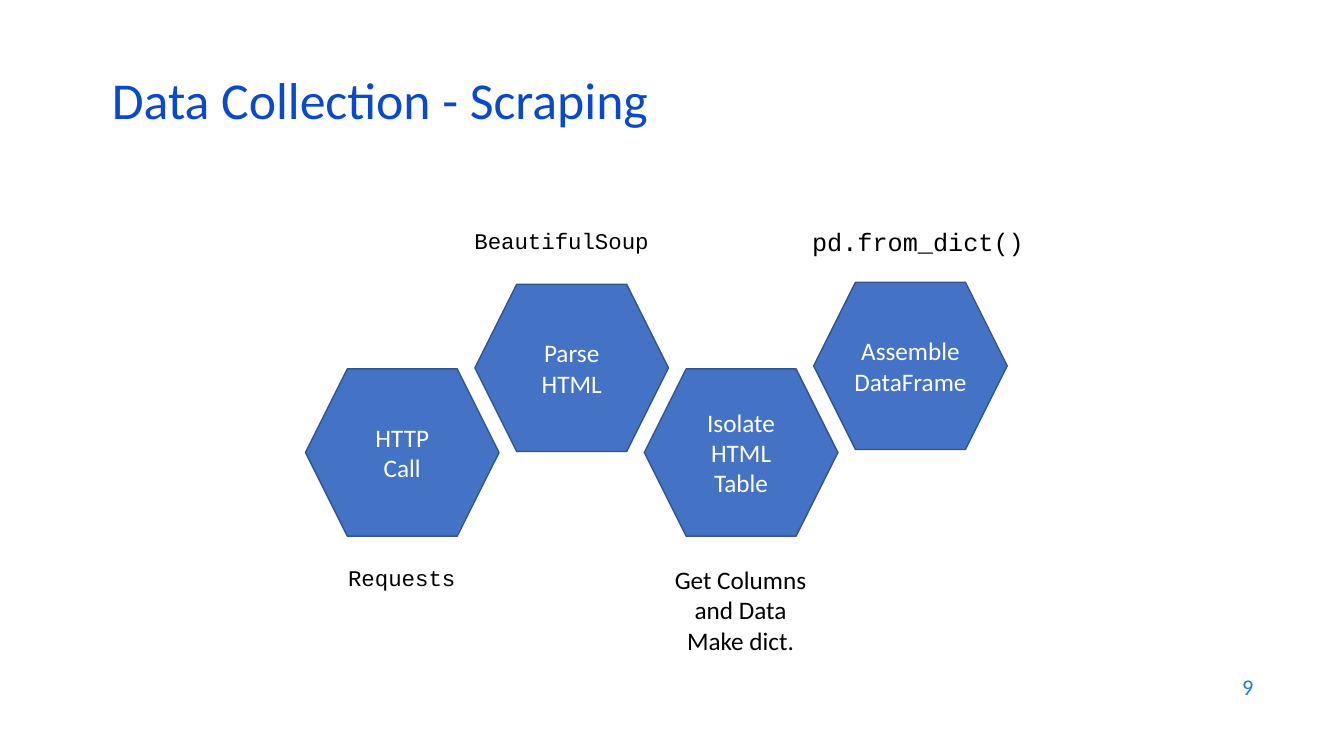
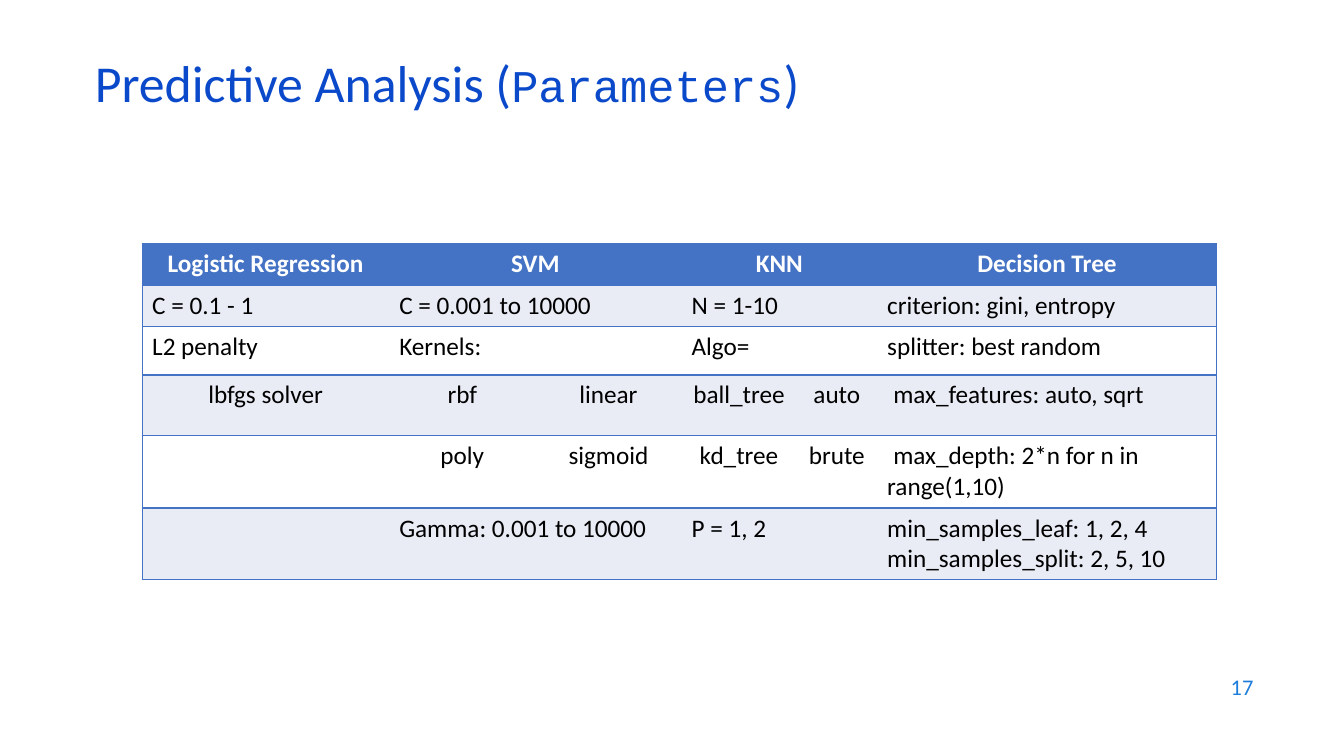
from lxml.etree import SubElement
from pptx import Presentation
from pptx.dml.color import RGBColor
from pptx.enum.shapes import MSO_SHAPE
from pptx.enum.text import MSO_ANCHOR, MSO_AUTO_SIZE, PP_ALIGN
from pptx.oxml import parse_xml
from pptx.oxml.ns import nsdecls, qn
from pptx.util import Pt

# Shared look
EMU_PER_PX = 9144  # 100 px to the inch
SANS, MONO = "Calibri", "Courier New"
TITLE_BLUE, NUMBER_BLUE = "0B49CB", "1C7DDB"
BLUE, BLUE_EDGE, BAND = "4472C4", "325491", "E9EBF5"
WHITE, BLACK = "FFFFFF", "000000"
PLAIN_TABLE_STYLE = "{2D5ABB26-0587-4C30-8999-92F81FD0307C}"

# Scraping steps: hexagon text and top
STEPS = [
    ("HTTP\nCall", 366),
    ("Parse HTML", 282),
    ("Isolate HTML\nTable", 366),
    ("Assemble DataFrame", 280),
]
STEP_LEFT, STEP_PITCH, STEP_WIDTH, STEP_HEIGHT = 303, 168, 192, 166

# Step labels: text, box, font, size
STEP_LABELS = [
    ("Requests", (332, 555, 133, 37), MONO, 16),
    ("BeautifulSoup", (450, 220, 214, 37), MONO, 16),
    ("Get Columns and Data\nMake dict.", (651, 555, 167, 101), SANS, 18),
    ("pd.from_dict()", (790, 220, 241, 40), MONO, 18),
]

# Model parameters: None continues the cell to its left
PARAMETERS = [
    ["Logistic Regression", "SVM", None, "KNN", None, "Decision Tree"],
    ["C = 0.1 - 1", "C = 0.001 to 10000", None, "N = 1-10", None,
     "criterion: gini, entropy"],
    ["L2 penalty", "Kernels:", "", "Algo=", "", "splitter: best random"],
    ["lbfgs solver", "rbf", "linear", "ball_tree", "auto",
     "max_features: auto, sqrt"],
    ["", "poly", "sigmoid", "kd_tree", "brute",
     "max_depth: 2*n for n in range(1,10)"],
    ["", "Gamma: 0.001 to 10000", None, "P = 1, 2", None,
     "min_samples_leaf: 1, 2, 4\nmin_samples_split: 2, 5, 10"],
]
COLUMN_WIDTHS = [245, 145, 145, 114, 80, 337]
ROW_HEIGHTS = [41, 41, 48, 60, 72, 71]
OPTION_ROWS = (3, 4)


def px(length):
    return length * EMU_PER_PX


def box(left, top, width, height):
    return [px(length) for length in (left, top, width, height)]


def color(hex_string):
    return RGBColor.from_string(hex_string)


def set_font(font, name, size, hex_string, bold=False):
    font.name, font.size, font.bold = name, Pt(size), bold
    font.color.rgb = color(hex_string)


def write(frame, text, name, size, hex_string, align=PP_ALIGN.CENTER, bold=False):
    frame.text = text
    for paragraph in frame.paragraphs:
        paragraph.alignment = align
        set_font(paragraph.font, name, size, hex_string, bold)


def add_label(slide, text, bounds, name, size, hex_string=BLACK,
              align=PP_ALIGN.CENTER, anchor=MSO_ANCHOR.TOP):
    frame = slide.shapes.add_textbox(*box(*bounds)).text_frame
    frame.word_wrap = True
    frame.vertical_anchor = anchor
    write(frame, text, name, size, hex_string, align)


def add_titled_slide(deck, title_runs, left, top, number):
    """Add a slide with its title, given as (text, font, size) runs, and number."""
    slide = deck.slides.add_slide(deck.slide_layouts[5])
    title = slide.shapes.title
    title.left, title.top, title.width, title.height = box(left, top, 1150, 60)
    frame = title.text_frame
    frame.auto_size = MSO_AUTO_SIZE.NONE
    frame.vertical_anchor = MSO_ANCHOR.MIDDLE
    heading = frame.paragraphs[0]
    heading.alignment = PP_ALIGN.LEFT
    heading.line_spacing = 0.7
    for text, name, size in title_runs:
        run = heading.add_run()
        run.text = text
        set_font(run.font, name, size, TITLE_BLUE)
    add_label(slide, number, (953, 659, 300, 44), SANS, 16, NUMBER_BLUE,
              PP_ALIGN.RIGHT, MSO_ANCHOR.MIDDLE)
    return slide


def add_step(slide, text, left, top):
    step = slide.shapes.add_shape(
        MSO_SHAPE.HEXAGON, *box(left, top, STEP_WIDTH, STEP_HEIGHT))
    step.shadow.inherit = False
    step.fill.solid()
    step.fill.fore_color.rgb = color(BLUE)
    step.line.color.rgb = color(BLUE_EDGE)
    step.line.width = Pt(1)
    step.text_frame.vertical_anchor = MSO_ANCHOR.MIDDLE
    write(step.text_frame, text, SANS, 18, WHITE)


def set_borders(cell, sides):
    properties = cell._tc.get_or_add_tcPr()
    for position, side in enumerate(sides):
        border = parse_xml(f'<a:ln{side} {nsdecls("a")} w="{Pt(1)}"/>')
        fill = SubElement(border, qn("a:solidFill"))
        SubElement(fill, qn("a:srgbClr"), val=BLUE)
        properties.insert(position, border)


def fill_cell(cell, text, row, column):
    header = row == 0
    last = column == len(COLUMN_WIDTHS) - 1
    option = row in OPTION_ROWS
    cell.fill.solid()
    cell.fill.fore_color.rgb = color(BLUE if header else BAND if row % 2 else WHITE)
    set_borders(cell, ["L"] * (column == 0) + ["R"] * last + ["T", "B"])
    centred = header or (option and not last)
    write(cell.text_frame, text or "", SANS, 18, WHITE if header else BLACK,
          PP_ALIGN.CENTER if centred else PP_ALIGN.LEFT, header)
    if option and last:
        first_line = cell.text_frame.paragraphs[0]
        first_line._p.get_or_add_pPr().set("indent", str(px(6)))


def add_parameter_table(slide):
    bounds = box(141, 242, sum(COLUMN_WIDTHS), sum(ROW_HEIGHTS))
    table = slide.shapes.add_table(
        len(ROW_HEIGHTS), len(COLUMN_WIDTHS), *bounds).table
    table._tbl.tblPr.find(qn("a:tableStyleId")).text = PLAIN_TABLE_STYLE
    for column, width in zip(table.columns, COLUMN_WIDTHS):
        column.width = px(width)
    for row, height in zip(table.rows, ROW_HEIGHTS):
        row.height = px(height)
    for row, texts in enumerate(PARAMETERS):
        for column, text in enumerate(texts):
            fill_cell(table.cell(row, column), text, row, column)
            if text is None:
                table.cell(row, column - 1).merge(table.cell(row, column))


def main():
    deck = Presentation()
    deck.slide_width, deck.slide_height = px(1333), px(750)

    # Scraping steps
    scraping = add_titled_slide(
        deck, [("Data Collection - Scraping", SANS, 37)], 101, 76, "9")
    for index, (text, top) in enumerate(STEPS):
        add_step(scraping, text, STEP_LEFT + index * STEP_PITCH, top)
    for label in STEP_LABELS:
        add_label(scraping, *label)

    # Model parameters
    analysis = add_titled_slide(
        deck,
        [("Predictive Analysis (", SANS, 37), ("Parameters", MONO, 32.4),
         (")", SANS, 37)],
        84, 59, "17")
    add_parameter_table(analysis)

    deck.save("out.pptx")


if __name__ == "__main__":
    main()
